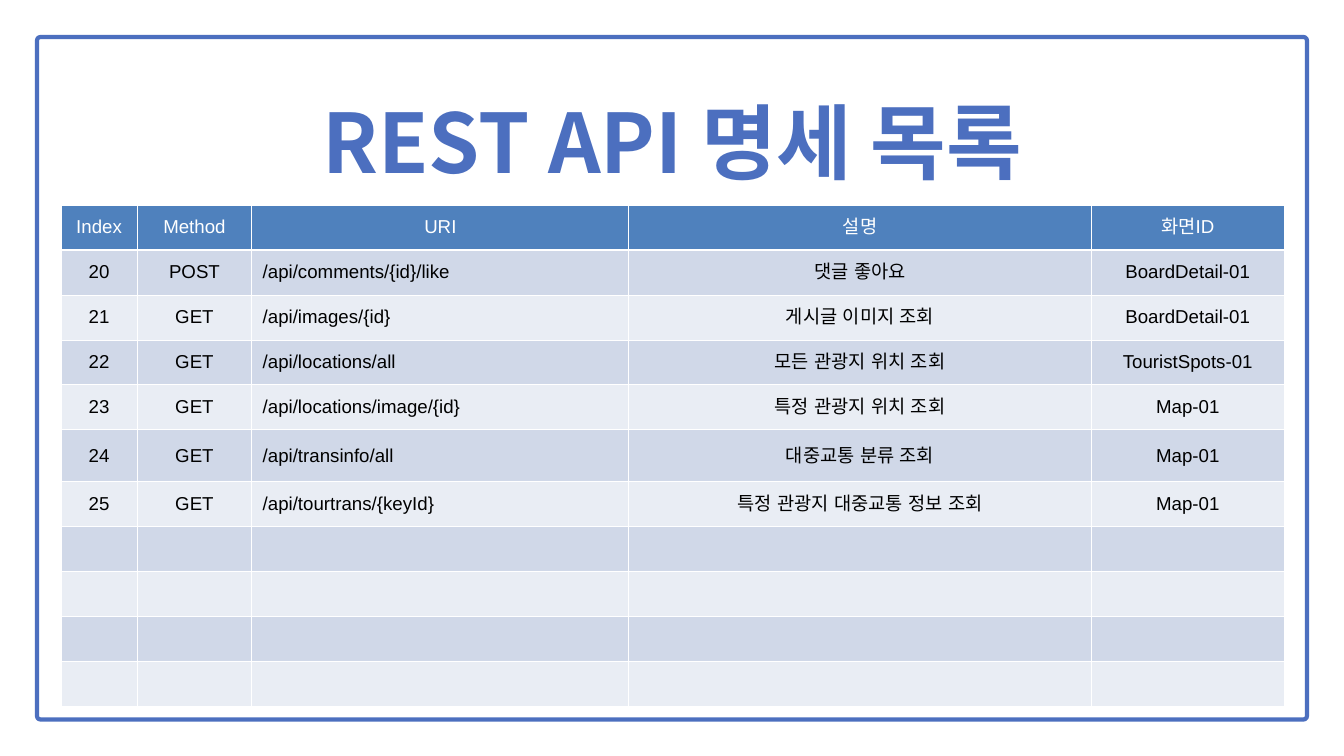
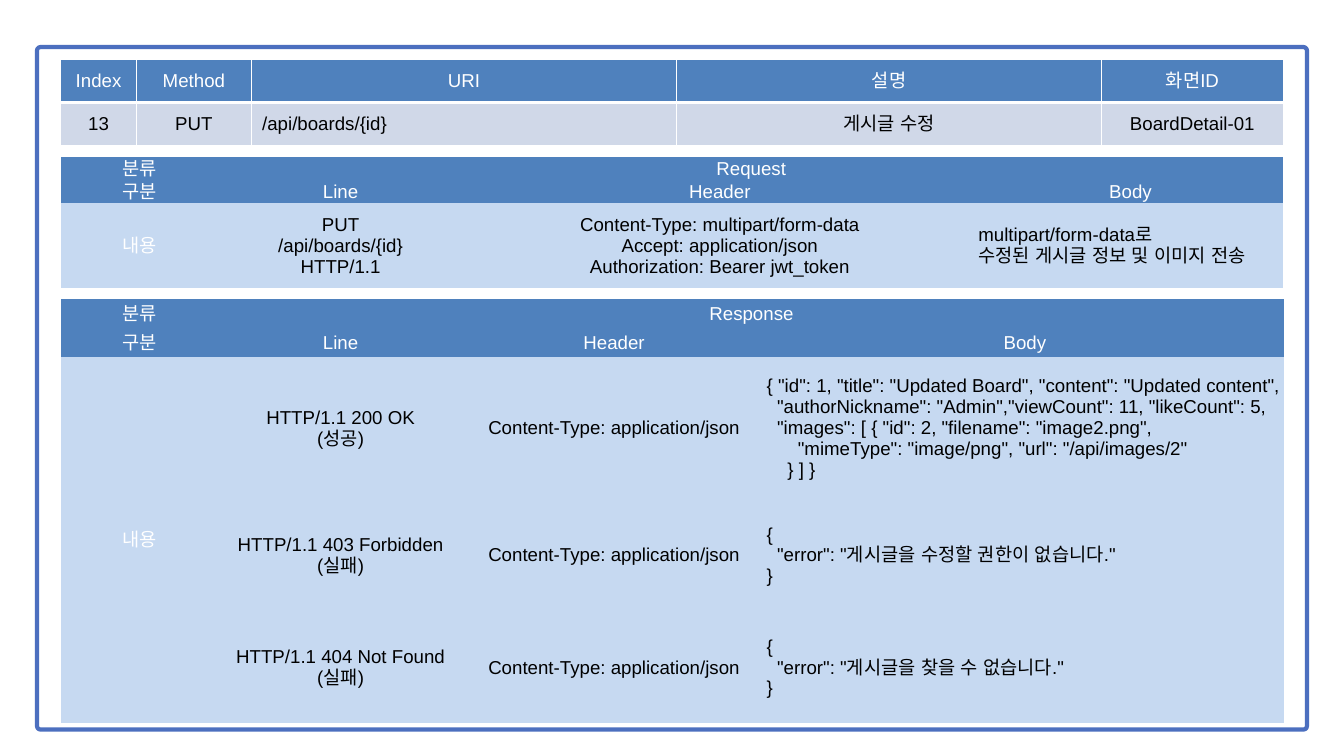
import pptx
import pptx.dml.color
import pptx.enum.shapes
import pptx.enum.text
import pptx.oxml.ns
import pptx.util
from lxml import etree

Cm = pptx.util.Cm
Pt = pptx.util.Pt
qn = pptx.oxml.ns.qn
ALIGN = pptx.enum.text.PP_ALIGN
ANCHOR = pptx.enum.text.MSO_ANCHOR

BLUE = "4C6FBF"
HEAD = "4F81BD"
BANDS = ["D0D8E8", "E9EDF4"]
PALE = "C6D9F1"
WHITE = "FFFFFF"
BLACK = "000000"
BARE = "{2D5ABB26-0587-4C30-8999-92F81FD0307C}"  # table style without lines
WIDE = (0.41, 0.2, 0.41, 0.2)
TIGHT = (0.03, 0.03, 0.03, 0)
LABELS = ["Index", "Method", "URI", "설명", "화면ID"]

APIS = [
    ["20", "POST", "/api/comments/{id}/like", "댓글 좋아요", "BoardDetail-01"],
    ["21", "GET", "/api/images/{id}", "게시글 이미지 조회", "BoardDetail-01"],
    ["22", "GET", "/api/locations/all", "모든 관광지 위치 조회", "TouristSpots-01"],
    ["23", "GET", "/api/locations/image/{id}", "특정 관광지 위치 조회", "Map-01"],
    ["24", "GET", "/api/transinfo/all", "대중교통 분류 조회", "Map-01"],
    ["25", "GET", "/api/tourtrans/{keyId}", "특정 관광지 대중교통 정보 조회", "Map-01"],
]
EDIT = ["13", "PUT", "/api/boards/{id}", "게시글 수정", "BoardDetail-01"]

REQUEST = [[
    "PUT\n/api/boards/{id}\nHTTP/1.1",
    "Content-Type: multipart/form-data\nAccept: application/json\n"
    "Authorization: Bearer jwt_token",
    "multipart/form-data로\n수정된 게시글 정보 및 이미지 전송",
]]
JSON = "Content-Type: application/json"
UPDATED = """{ "id": 1, "title": "Updated Board", "content": "Updated content",
  "authorNickname": "Admin","viewCount": 11, "likeCount": 5,
  "images": [ { "id": 2, "filename": "image2.png",
      "mimeType": "image/png", "url": "/api/images/2"
    } ] }"""
ERROR = '{{\n  "error": "{}"\n}}'
RESPONSE = [
    ["HTTP/1.1 200 OK\n(성공)", JSON, UPDATED],
    ["HTTP/1.1 403 Forbidden\n(실패)", JSON,
     ERROR.format("게시글을 수정할 권한이 없습니다.")],
    ["HTTP/1.1 404 Not Found\n(실패)", JSON,
     ERROR.format("게시글을 찾을 수 없습니다.")],
]


def rgb(code):
    return pptx.dml.color.RGBColor.from_string(code)


def style(para, size, face, color, align, bold=False):
    para.alignment = align
    font = para.font
    font.size = Pt(size)
    font.bold = bold
    font.color.rgb = rgb(color)
    font.name = face
    etree.SubElement(font._rPr, qn("a:ea"), typeface=face)


def frame(slide, top):
    """Add the rounded border behind everything else on the slide."""
    kind = pptx.enum.shapes.MSO_SHAPE.ROUNDED_RECTANGLE
    box = slide.shapes.add_shape(kind, Cm(1.4), Cm(top), Cm(48), Cm(25.8))
    box.adjustments[0] = 0.005
    box.shadow.inherit = False
    box.fill.solid()
    box.fill.fore_color.rgb = rgb(WHITE)
    box.line.color.rgb = rgb(BLUE)
    box.line.width = Pt(4.5)
    slide.shapes._spTree.insert(2, box._element)


def head(slide, text):
    """Place and format the slide title."""
    title = slide.shapes.title
    title.left, title.top = Cm(1.52), Cm(2.79)
    title.width, title.height = Cm(47.78), Cm(4.45)
    body = title.text_frame
    body.margin_left = body.margin_top = 0
    body.margin_right = body.margin_bottom = 0
    body.vertical_anchor = ANCHOR.TOP
    body.word_wrap = True
    body.auto_size = pptx.enum.text.MSO_AUTO_SIZE.SHAPE_TO_FIT_TEXT
    body.text = text
    para = body.paragraphs[0]
    para.line_spacing = 1.18
    style(para, 88, "Noto Sans CJK KR", BLUE, ALIGN.CENTER, True)


def grid(slide, left, top, cols, rows):
    """Add an empty table with the given column widths and row heights."""
    shape = slide.shapes.add_table(
        len(rows), len(cols), Cm(left), Cm(top), Cm(sum(cols)), Cm(sum(rows)))
    table = shape.table
    table.first_row = table.horz_banding = False
    table._tbl.tblPr.find(qn("a:tableStyleId")).text = BARE
    for col, width in zip(table.columns, cols):
        col.width = Cm(width)
    for row, height in zip(table.rows, rows):
        row.height = Cm(height)
    return shape


def edge(cell, base):
    """Draw white cell borders; base is the width of the bottom one."""
    props = cell._tc.get_or_add_tcPr()
    for spot, (side, width) in enumerate(
            [("lnL", 1), ("lnR", 1), ("lnT", 1), ("lnB", base)]):
        line = etree.Element(qn("a:" + side), w=str(Pt(width)))
        fill = etree.SubElement(line, qn("a:solidFill"))
        etree.SubElement(fill, qn("a:srgbClr"), val=WHITE)
        props.insert(spot, line)


def fill(cell, text, back, color, pads, align=ALIGN.CENTER):
    cell.fill.solid()
    cell.fill.fore_color.rgb = rgb(back)
    cell.vertical_anchor = ANCHOR.MIDDLE
    (cell.margin_left, cell.margin_top,
     cell.margin_right, cell.margin_bottom) = map(Cm, pads)
    cell.text = text
    for para in cell.text_frame.paragraphs:
        style(para, 20, "Arial", color, align)


def index(slide, left, top, cols, rows, apis):
    """Add a list of API calls; rows left over stay empty."""
    table = grid(slide, left, top, cols, rows).table
    blank = [[""] * len(LABELS)] * (len(rows) - 1 - len(apis))
    for i, texts in enumerate([LABELS] + apis + blank):
        back, color = (BANDS[(i - 1) % 2], BLACK) if i else (HEAD, WHITE)
        for j, text in enumerate(texts):
            align = ALIGN.LEFT if i and j == 2 else ALIGN.CENTER
            cell = table.cell(i, j)
            fill(cell, text, back, color, WIDE, align)
            edge(cell, 1 if i else 3)


def message(slide, top, cols, rows, name, lines):
    """Add the table for one side of a call: line, header and body."""
    shape = grid(slide, 2.29, top, cols, rows)
    table = shape.table
    table.cell(0, 1).merge(table.cell(0, 3))
    if len(lines) > 1:
        table.cell(2, 0).merge(table.cell(len(rows) - 1, 0))
    for i, texts in enumerate([["분류", name], ["구분", "Line", "Header", "Body"]]):
        for j, text in enumerate(texts):
            fill(table.cell(i, j), text, HEAD, WHITE, TIGHT)
    fill(table.cell(2, 0), "내용", PALE, WHITE, TIGHT)
    for i, texts in enumerate(lines, 2):
        for j, text in enumerate(texts, 1):
            align = ALIGN.LEFT if j == 3 else ALIGN.CENTER
            fill(table.cell(i, j), text, PALE, BLACK, TIGHT, align)
    return shape


def listing(deck):
    slide = deck.slides.add_slide(deck.slide_layouts[5])
    frame(slide, 1.4)
    head(slide, "REST API 명세 목록")
    rows = [1.7] * 5 + [1.96] + [1.7] * 5
    index(slide, 2.31, 7.75, [2.87, 4.34, 14.25, 17.48, 7.29], rows, APIS)


def detail(deck):
    slide = deck.slides.add_slide(deck.slide_layouts[6])
    frame(slide, 1.78)
    ask = message(slide, 5.92, [5.99, 9.19, 19.48, 11.56],
                  [0.64, 0.58, 3.2], "Request", REQUEST)
    ask.height = Cm(4.95)
    message(slide, 11.3, [5.99, 9.19, 11.48, 19.58],
            [1.09, 1.09, 5.38, 4.24, 4.24], "Response", RESPONSE)
    index(slide, 2.29, 2.24, [2.87, 4.34, 16.08, 16.05, 6.88],
          [1.63, 1.63], [EDIT])


def main():
    deck = pptx.Presentation()
    deck.slide_width, deck.slide_height = Cm(50.8), Cm(28.58)
    listing(deck)
    detail(deck)
    deck.save("out.pptx")


if __name__ == "__main__":
    main()
